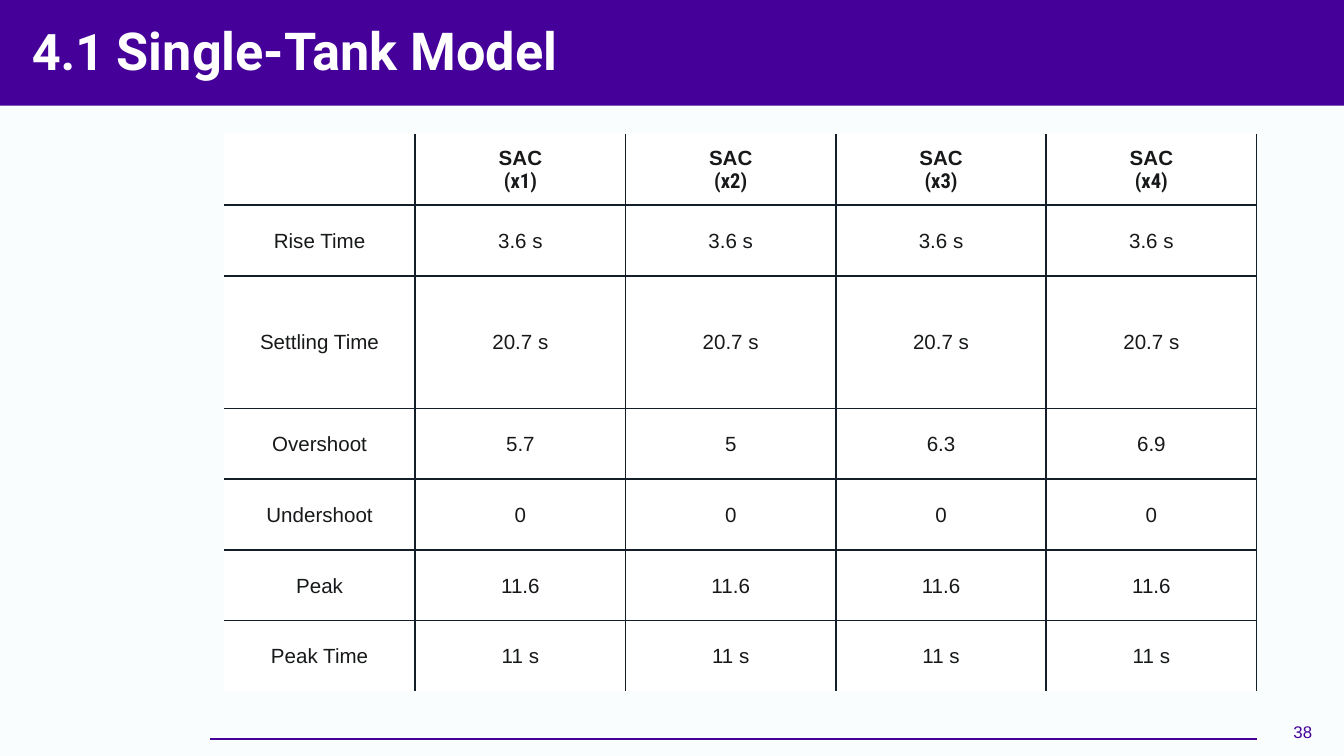
from dataclasses import dataclass

from lxml import etree
from pptx import Presentation
from pptx.dml.color import RGBColor
from pptx.enum.shapes import MSO_CONNECTOR, MSO_SHAPE
from pptx.enum.text import MSO_ANCHOR, PP_ALIGN
from pptx.oxml.ns import qn
from pptx.util import Pt

RECTANGLE = MSO_SHAPE.RECTANGLE
STRAIGHT = MSO_CONNECTOR.STRAIGHT
MIDDLE = MSO_ANCHOR.MIDDLE
LEFT, CENTER, RIGHT = PP_ALIGN.LEFT, PP_ALIGN.CENTER, PP_ALIGN.RIGHT

PURPLE = RGBColor(0x44, 0x00, 0x99)
PALE = RGBColor(0xFA, 0xFD, 0xFE)
WHITE = RGBColor(0xFF, 0xFF, 0xFF)
INK = RGBColor(0x16, 0x18, 0x19)
GRID = RGBColor(0x13, 0x1E, 0x29)


@dataclass
class Run:
    text: str
    size: float
    font: str
    color: RGBColor
    bold: bool = False


@dataclass
class Label:
    left: float
    top: float
    width: float
    height: float
    align: PP_ALIGN
    runs: list[Run]


@dataclass
class Measure:
    name: str
    values: list[str]
    height: float = 37.9


HEADER_HEIGHT = 37.9
COLUMN_WIDTHS = [102.5] + [112.7] * 4
MEASURES = [
    Measure("Rise Time", ["3.6 s"] * 4),
    Measure("Settling Time", ["20.7 s"] * 4, 71),
    Measure("Overshoot", ["5.7", "5", "6.3", "6.9"]),
    Measure("Undershoot", ["0"] * 4),
    Measure("Peak", ["11.6"] * 4),
    Measure("Peak Time", ["11 s"] * 4),
]
LABELS = [
    Label(10, 6, 645, 45, LEFT, [
        Run("4.1 ", 27, "Roboto", WHITE, True),
        Run("Single-Tank Model", 28, "Roboto", WHITE, True),
    ]),
    Label(673, 377, 37, 31, RIGHT, [Run("38", 9, "Arial", PURPLE)]),
]


def add_run(paragraph, run: Run) -> None:
    text_run = paragraph.add_run()
    text_run.text = run.text
    text_run.font.color.rgb = run.color
    style = {"size": Pt(run.size), "name": run.font, "bold": run.bold}
    for attribute, value in style.items():
        setattr(text_run.font, attribute, value)


def add_label(slide, label: Label) -> None:
    box = slide.shapes.add_textbox(
        Pt(label.left), Pt(label.top), Pt(label.width), Pt(label.height))
    frame = box.text_frame
    style = {"word_wrap": True, "vertical_anchor": MIDDLE}
    for side in ("left", "top", "right", "bottom"):
        style[f"margin_{side}"] = Pt(7.2)
    for attribute, value in style.items():
        setattr(frame, attribute, value)
    paragraph = frame.paragraphs[0]
    paragraph.alignment = label.align
    paragraph.line_spacing = 0.9
    for run in label.runs:
        add_run(paragraph, run)


def set_borders(cell, visible: dict[str, bool]) -> None:
    properties = cell._tc.get_or_add_tcPr()
    for side, shown in visible.items():
        line = etree.SubElement(properties, qn(f"a:ln{side}"), w=str(Pt(1)))
        if shown:
            fill = etree.SubElement(line, qn("a:solidFill"))
            etree.SubElement(fill, qn("a:srgbClr"), val=str(GRID))
        else:
            etree.SubElement(line, qn("a:noFill"))


def fill_cell(cell, lines: list[Run]) -> None:
    cell.fill.solid()
    cell.fill.fore_color.rgb = WHITE
    style = {"vertical_anchor": MIDDLE, "margin_left": Pt(0.7),
             "margin_right": Pt(0.7), "margin_top": Pt(0.7),
             "margin_bottom": Pt(0)}
    for attribute, value in style.items():
        setattr(cell, attribute, value)
    frame = cell.text_frame
    for index, line in enumerate(lines):
        paragraph = frame.add_paragraph() if index else frame.paragraphs[0]
        paragraph.alignment = CENTER
        add_run(paragraph, line)


def add_results(slide) -> None:
    header = [[]] + [
        [Run("SAC", 11, "Arial", INK, True),
         Run(f"(x{tank})", 11, "Roboto Condensed", INK, True)]
        for tank in range(1, 5)
    ]
    body = [[[Run(text, 11, "Arial", INK)] for text in [m.name, *m.values]]
            for m in MEASURES]
    rows = [header, *body]
    heights = [HEADER_HEIGHT] + [m.height for m in MEASURES]

    results = slide.shapes.add_table(
        len(rows), len(COLUMN_WIDTHS), Pt(120), Pt(72),
        Pt(sum(COLUMN_WIDTHS)), Pt(sum(heights))).table
    results.first_row = results.horz_banding = False
    for column, width in zip(results.columns, COLUMN_WIDTHS):
        column.width = Pt(width)
    for r, (row, height) in enumerate(zip(rows, heights)):
        results.rows[r].height = Pt(height)
        for c, lines in enumerate(row):
            cell = results.cell(r, c)
            # Open on the left, top and bottom outer edges
            set_borders(cell, {"L": c > 0, "R": True,
                               "T": r > 0, "B": r < len(rows) - 1})
            fill_cell(cell, lines)


def main() -> None:
    deck = Presentation()
    deck.slide_width, deck.slide_height = Pt(720), Pt(405)
    slide = deck.slides.add_slide(deck.slide_layouts[6])
    slide.background.fill.solid()
    slide.background.fill.fore_color.rgb = PALE

    # Title band
    band = slide.shapes.add_shape(RECTANGLE, Pt(-1.5), Pt(0), Pt(723), Pt(56.7))
    band.shadow.inherit = False
    band.fill.solid()
    band.fill.fore_color.rgb = PURPLE
    band.line.fill.background()

    # Footer rule
    rule = slide.shapes.add_connector(
        STRAIGHT, Pt(112.5), Pt(396), Pt(673.4), Pt(396))
    rule.line.color.rgb = PURPLE
    rule.line.width = Pt(0.75)
    etree.SubElement(rule._element.spPr, qn("a:effectLst"))

    # Title and page number
    for label in LABELS:
        add_label(slide, label)

    # Results table
    add_results(slide)

    deck.save("out.pptx")


if __name__ == "__main__":
    main()
